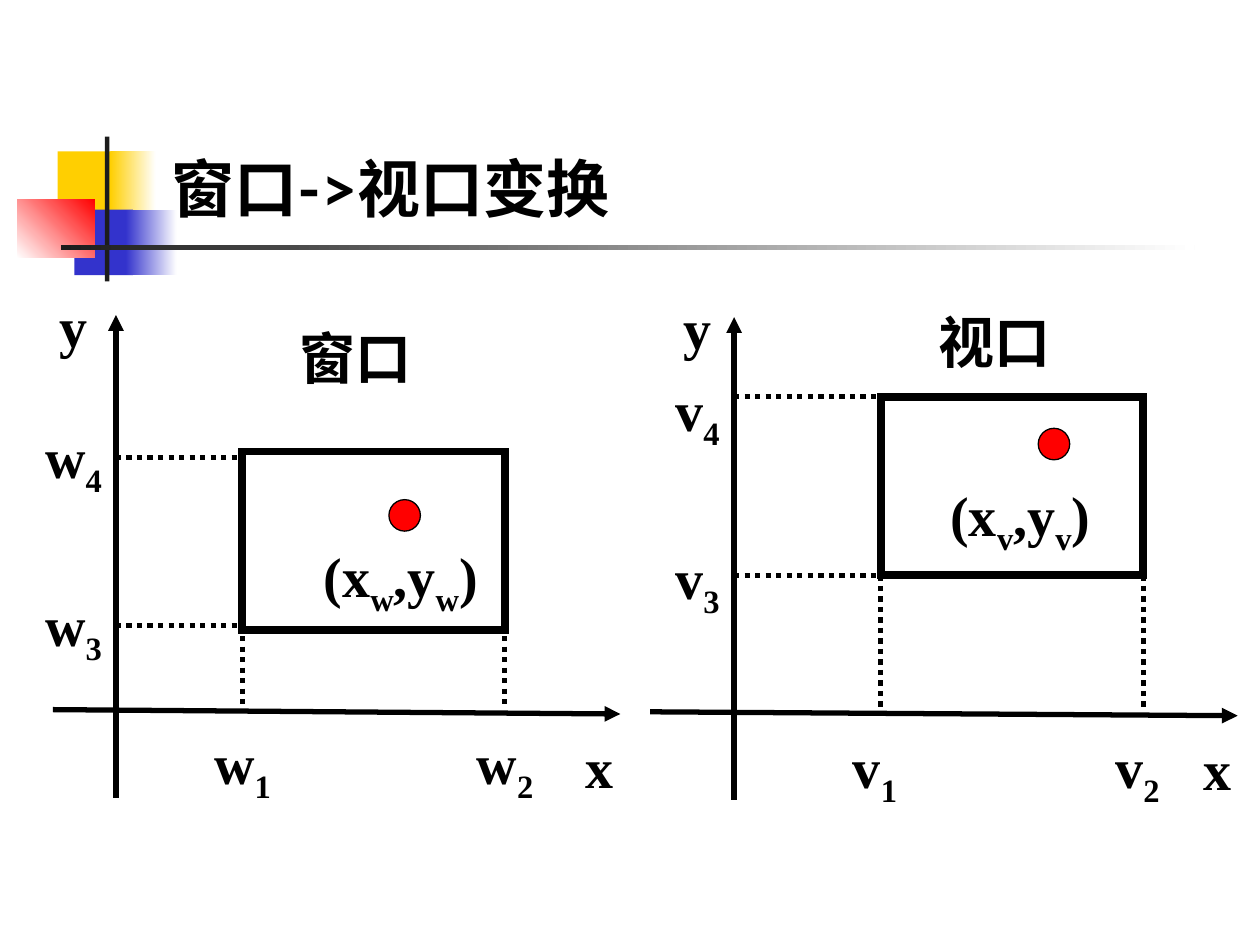
from lxml import etree
from pptx import Presentation
from pptx import util as u
from pptx.dml.color import RGBColor
from pptx.enum import dml, shapes, text
from pptx.oxml.ns import qn

COLORS = {
    "black": "000000", "ink": "1C1C1C", "white": "FFFFFF",
    "yellow": "FFCF01", "blue": "3333CC", "red": "FF0000",
}
SIDE = (150, 102)  # width and height of the window and of the viewport


def color(name):
    return RGBColor.from_string(COLORS[name])


class Slide:
    """Holds the style, the page and the group that new elements go into."""

    title_font, body_font = "Lato", "Times New Roman"
    title_size, body_size = 36, 32
    axis_width, frame_width, dot_outline = 3, 4.5, 0.75
    label_height, indexed_height = 38, 44

    def __init__(self, page):
        self.page = page
        self.target = page.shapes

    def start_group(self):
        self.target = self.page.shapes.add_group_shape().shapes

    def end_group(self):
        self.target = self.page.shapes

    def span(self, para, words, font, size, lowered=False):
        span = para.add_run()
        span.text = words
        span.font.name, span.font.size, span.font.bold = font, u.Pt(size), True
        span.font.color.rgb = color("black")
        if lowered:
            span._r.get_or_add_rPr().set("baseline", "-25000")

    def title(self, words, left, top, width, height):
        box = self.page.shapes.title
        box.left, box.top = u.Pt(left), u.Pt(top)
        box.width, box.height = u.Pt(width), u.Pt(height)
        frame = box.text_frame
        frame.auto_size = text.MSO_AUTO_SIZE.NONE
        frame.vertical_anchor = text.MSO_ANCHOR.BOTTOM
        para = frame.paragraphs[0]
        para.alignment = text.PP_ALIGN.LEFT
        self.span(para, words, self.title_font, self.title_size)

    def shape(self, kind, left, top, width, height, fill=None, line=None):
        box = self.target.add_shape(
            kind, u.Pt(left), u.Pt(top), u.Pt(width), u.Pt(height))
        box.shadow.inherit = False
        if fill:
            box.fill.solid()
            box.fill.fore_color.rgb = color(fill)
        else:
            box.fill.background()
        if line:
            box.line.color.rgb = color("black")
            box.line.width = u.Pt(line)
        else:
            box.line.fill.background()
        return box

    def block(self, left, top, width, height, fill):
        return self.shape(shapes.MSO_SHAPE.RECTANGLE, left, top, width, height, fill)

    def fade(self, left, top, width, height, start, end="white", angle=0):
        """Rectangle with a two-colour gradient, angle counter-clockwise."""
        box = self.block(left, top, width, height, start)
        box.fill.gradient()
        box.fill.gradient_angle = angle
        for stop, name in zip(box.fill.gradient_stops, (start, end)):
            stop.color.rgb = color(name)

    def frame(self, left, top):
        """Unfilled rectangle with sharp corners."""
        box = self.shape(shapes.MSO_SHAPE.RECTANGLE, left, top, *SIDE,
                         line=self.frame_width)
        etree.SubElement(box.line._get_or_add_ln(), qn("a:miter"), lim="800000")

    def dot(self, center, size=18):
        x, y = center
        self.shape(shapes.MSO_SHAPE.OVAL, x - size / 2, y - size / 2, size, size,
                   "red", self.dot_outline)

    def line(self, start, end, arrow=None, dotted=False):
        """Line; arrow is headEnd (at start) or tailEnd (at end)."""
        line = self.target.add_connector(
            shapes.MSO_CONNECTOR.STRAIGHT, *(u.Pt(v) for v in (*start, *end)))
        etree.SubElement(line._element.spPr, qn("a:effectLst"))
        line.line.color.rgb = color("black")
        line.line.width = u.Pt(self.axis_width)
        if dotted:
            line.line.dash_style = dml.MSO_LINE.ROUND_DOT
        if arrow:
            etree.SubElement(line.line._get_or_add_ln(), qn("a:" + arrow), type="triangle")

    def label(self, center, width, *parts):
        """Centred text whose every second part is a subscript."""
        x, y = center
        height = self.indexed_height if len(parts) > 1 else self.label_height
        box = self.target.add_textbox(
            u.Pt(x - width / 2), u.Pt(y - height / 2), u.Pt(width), u.Pt(height))
        frame = box.text_frame
        frame.word_wrap = False
        frame.auto_size = text.MSO_AUTO_SIZE.SHAPE_TO_FIT_TEXT
        frame.vertical_anchor = text.MSO_ANCHOR.MIDDLE
        frame.margin_left = frame.margin_right = 0
        frame.margin_top = frame.margin_bottom = 0
        para = frame.paragraphs[0]
        para.alignment = text.PP_ALIGN.CENTER
        for number, part in enumerate(parts):
            self.span(para, part, self.body_font, self.body_size, number % 2 == 1)

    def diagram(self, letter, name, name_at, axis_x, axis_top, x_axis, corner,
                guides, names_x, names_y, x_at, y_at, index_width, point, point_at,
                point_width):
        """Axes, frame, guide lines, labels and the marked point."""
        self.start_group()
        left, top = corner
        right = left + SIDE[0]
        floor = x_axis[0][1]
        self.line((axis_x, axis_top), (axis_x, axis_top + 276), "headEnd")
        self.line(*x_axis, "tailEnd")
        self.frame(left, top)
        self.label(x_at, 17, "x")
        self.label(y_at, 17, "y")
        for number, center in enumerate((*names_x, *names_y), 1):
            self.label(center, index_width, letter, str(number))
        self.label(name_at, 67, name)
        for y in guides:
            self.line((axis_x, y), (left, y), dotted=True)
        for x in (left, right):
            self.line((x, guides[-1]), (x, floor), dotted=True)
        self.dot(point)
        self.label(point_at, point_width, "(x", letter, ",y", letter, ")")
        self.end_group()


def main():
    deck = Presentation()
    deck.slide_width, deck.slide_height = u.Pt(720), u.Pt(540)
    slide = Slide(deck.slides.add_slide(deck.slide_layouts[5]))

    slide.block(33, 86.5, 34.5, 37.5, "yellow")
    slide.fade(63, 86.5, 26, 37.5, "yellow")
    slide.block(42.5, 119.75, 33.5, 37.5, "blue")
    slide.fade(72, 119.75, 29, 37.5, "blue")
    slide.fade(9.75, 113.75, 44.5, 33.5, "white", "red", angle=45)
    slide.block(60, 78, 2.5, 82.75, "ink")
    slide.fade(34.75, 140, 648, 2.75, "ink")
    slide.title("窗口->视口变换", 90.75, 16.5, 613.5, 115.5)

    slide.diagram(
        "w", "窗口", name_at=(203.25, 204), axis_x=66.25, axis_top=180,
        x_axis=((30.25, 405.5), (354.5, 408)), corner=(138.5, 258),
        guides=(261.5, 357.5), names_x=((138.5, 438), (288.5, 438)),
        names_y=((42, 359.5), (42, 263.5)), x_at=(342.5, 438), y_at=(42, 186),
        index_width=35, point=(231.25, 294.5), point_at=(229, 331.5), point_width=91)
    slide.diagram(
        "v", "视口", name_at=(568.25, 195), axis_x=419.5, axis_top=181.25,
        x_axis=((371.5, 406.75), (707.25, 409)), corner=(503.25, 226.75),
        guides=(226.75, 328.75), names_x=((500, 440.5), (650, 440.5)),
        names_y=((398.5, 332.5), (398.5, 236.5)), x_at=(695.5, 439), y_at=(398.5, 187),
        index_width=28, point=(602.25, 253.75), point_at=(583, 296.5), point_width=83)

    deck.save("out.pptx")


if __name__ == "__main__":
    main()
